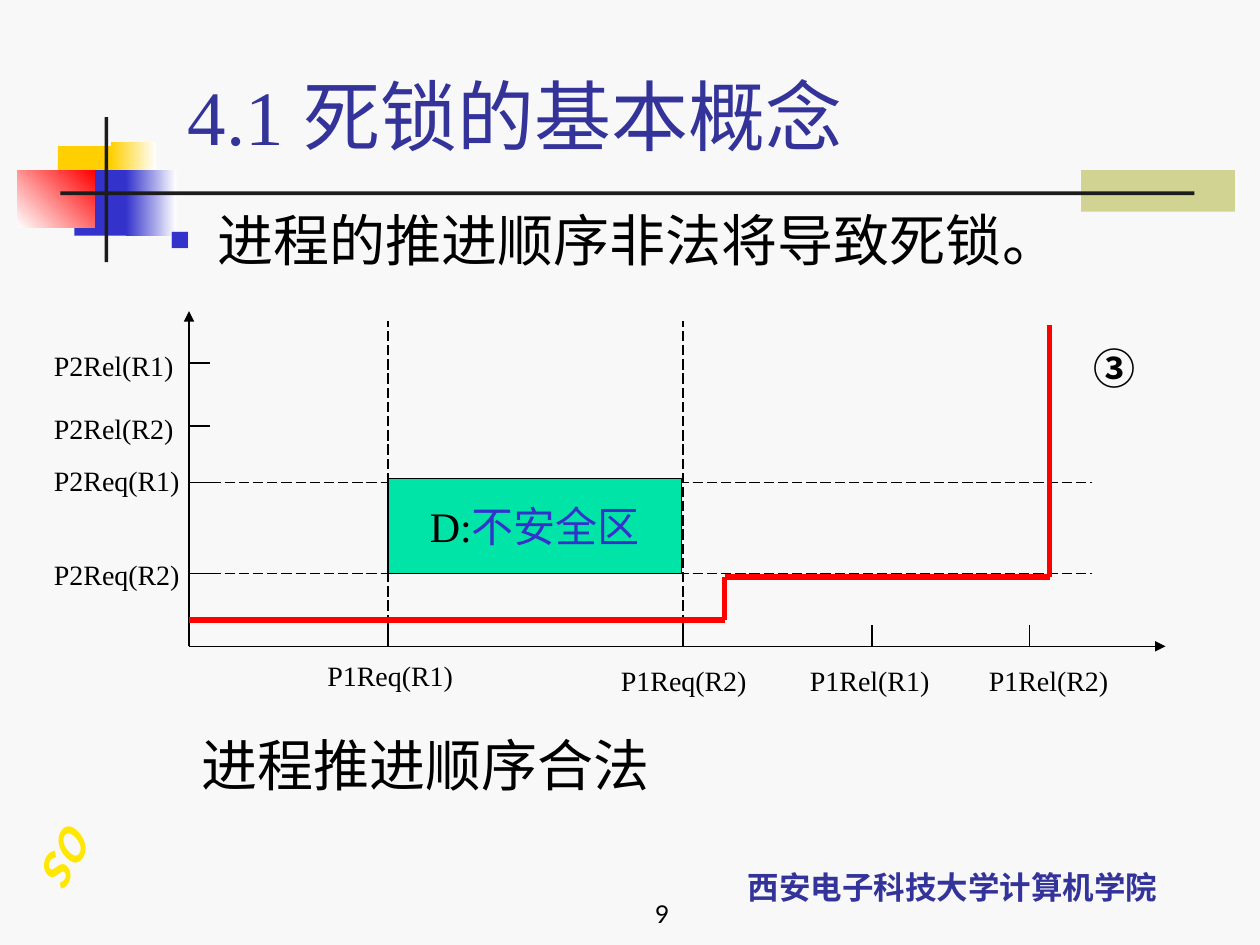
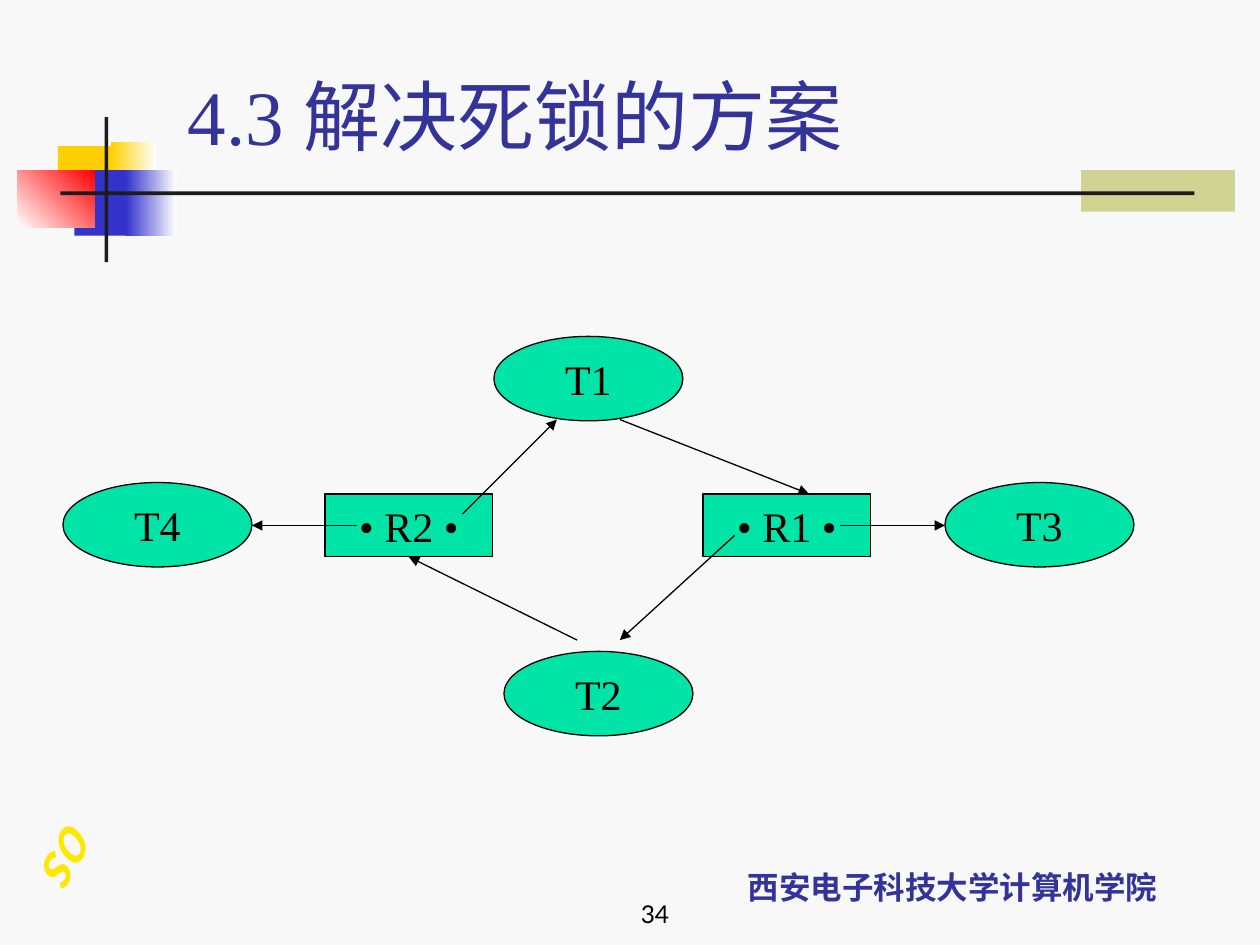
import itertools

import lxml.etree
import pptx
import pptx.dml.color
import pptx.enum.dml
import pptx.enum.shapes
import pptx.enum.text
import pptx.oxml.ns
import pptx.util

Inches = pptx.util.Inches
Pt = pptx.util.Pt
RGBColor = pptx.dml.color.RGBColor
SHAPE = pptx.enum.shapes.MSO_SHAPE
ALIGN = pptx.enum.text.PP_ALIGN
ANCHOR = pptx.enum.text.MSO_ANCHOR
qn = pptx.oxml.ns.qn

# Shared colours and fonts
PAPER = RGBColor(0xF8, 0xF8, 0xF8)
BLACK = RGBColor(0, 0, 0)
WHITE = RGBColor(0xFF, 0xFF, 0xFF)
INK = RGBColor(0x1C, 0x1C, 0x1C)
NAVY = RGBColor(0x33, 0x33, 0x99)
BLUE = RGBColor(0x33, 0x33, 0xCC)
GOLD = RGBColor(0xFF, 0xCF, 0x01)
YELLOW = RGBColor(0xFF, 0xE7, 0x01)
OLIVE = RGBColor(0xD1, 0xD3, 0x93)
RED = RGBColor(0xFF, 0, 0)
GREEN = RGBColor(0, 0xE4, 0xA8)
SERIF = "Times New Roman"
CJK = "Noto Sans CJK SC"
NUMBER_FONT = "Lato"


def inches(*values):
    return [Inches(v) for v in values]


def add_xml(parent, tag, **attrs):
    return lxml.etree.SubElement(parent, qn(tag), attrs)


def style_paragraph(p, size, color=BLACK, font=SERIF, bold=False, align=ALIGN.LEFT):
    p.alignment = align
    p.font.size = Pt(size)
    p.font.bold = bold
    p.font.color.rgb = color
    p.font.name = font
    add_xml(p._p.pPr.find(qn("a:defRPr")), "a:ea", typeface=CJK)


def add_text(slide, box, text, size, anchor=ANCHOR.TOP, **style):
    sp = slide.shapes.add_textbox(*inches(*box))
    tf = sp.text_frame
    tf.word_wrap = True
    tf.vertical_anchor = anchor
    p = tf.paragraphs[0]
    p.text = text
    style_paragraph(p, size, **style)
    return sp


def add_bullet(p, indent):
    pPr = p._p.pPr
    pPr.set("marL", str(Inches(indent)))
    pPr.set("indent", str(-Inches(indent)))
    bullet = lxml.etree.Element("bullet")
    add_xml(add_xml(bullet, "a:buClr"), "a:srgbClr", val=str(BLUE))
    add_xml(bullet, "a:buSzPct", val="60000")
    add_xml(bullet, "a:buFont", typeface=SERIF)
    add_xml(bullet, "a:buChar", char="■")
    font = pPr.find(qn("a:defRPr"))
    for part in list(bullet):
        font.addprevious(part)


def add_block(slide, box, color, end_color=None, angle=0):
    """A borderless rectangle, plain or fading to end_color."""
    sp = slide.shapes.add_shape(SHAPE.RECTANGLE, *inches(*box))
    sp.shadow.inherit = False
    sp.line.fill.background()
    if end_color is None:
        sp.fill.solid()
        sp.fill.fore_color.rgb = color
    else:
        sp.fill.gradient()
        sp.fill.gradient_angle = angle
        for stop, stop_color in zip(sp.fill.gradient_stops, (color, end_color)):
            stop.color.rgb = stop_color
    return sp


def add_node(slide, shape_type, box, *runs):
    """A green outlined shape; each run is (text, colour)."""
    sp = slide.shapes.add_shape(shape_type, *inches(*box))
    sp.shadow.inherit = False
    sp.fill.solid()
    sp.fill.fore_color.rgb = GREEN
    sp.line.color.rgb = BLACK
    sp.line.width = Pt(0.75)
    tf = sp.text_frame
    tf.word_wrap = False
    tf.vertical_anchor = ANCHOR.MIDDLE
    p = tf.paragraphs[0]
    style_paragraph(p, 24, align=ALIGN.CENTER)
    for text, color in runs:
        r = p.add_run()
        r.text = text
        r.font.color.rgb = color
    return sp


def add_line(slide, start, end, color=BLACK, width=0.75, dashed=False, arrow=False):
    line = slide.shapes.add_connector(
        pptx.enum.shapes.MSO_CONNECTOR.STRAIGHT, *inches(*start, *end))
    line.line.color.rgb = color
    line.line.width = Pt(width)
    if dashed:
        line.line.dash_style = pptx.enum.dml.MSO_LINE.LONG_DASH
    spPr = line._element.spPr
    if arrow:
        add_xml(spPr.find(qn("a:ln")), "a:tailEnd", type="triangle")
    add_xml(spPr, "a:effectLst")
    return line


def set_up_layout(prs, layout, slide):
    """Draw the shared decoration on a slide, then move it to the layout."""
    fill = prs.slide_master.background.fill
    fill.solid()
    fill.fore_color.rgb = PAPER
    for ph in list(layout.placeholders):
        if ph.placeholder_format.idx != 0:
            ph._element.getparent().remove(ph._element)

    # Coloured blocks and the crossing bars
    parts = [
        add_block(slide, (8.58, 1.35, 1.22, 0.33), OLIVE),
        add_block(slide, (0.46, 1.16, 0.48, 0.52), GOLD),
        add_block(slide, (0.88, 1.13, 0.36, 0.52), GOLD, WHITE),
        add_block(slide, (0.59, 1.35, 0.46, 0.52), BLUE),
        add_block(slide, (1, 1.35, 0.4, 0.52), BLUE, WHITE),
        add_block(slide, (0.14, 1.35, 0.61, 0.46), WHITE, RED, angle=45),
        add_block(slide, (0.83, 0.93, 0.03, 1.15), INK),
        add_block(slide, (0.48, 1.52, 9, 0.03), INK),
    ]

    # Footer and the tilted course mark
    parts.append(add_text(slide, (5.31, 6.66, 4.5, 0.58), "西安电子科技大学计算机学院", 18,
                          ANCHOR.BOTTOM, color=NAVY, font=CJK, bold=True,
                          align=ALIGN.CENTER))
    mark = add_text(slide, (0.18, 6.42, 0.66, 0.85), "OS", 24, ANCHOR.MIDDLE,
                    color=YELLOW, font=CJK, bold=True)
    mark.rotation = 29.3
    tf = mark.text_frame
    tf.paragraphs[0].font.italic = True
    tf.word_wrap = False
    tf.margin_left = tf.margin_right = Inches(0.05)
    tf.margin_top = tf.margin_bottom = Inches(0.1)
    tf._txBody.bodyPr.set("vert", "eaVert")
    parts.append(mark)

    for sp in parts:
        layout.shapes._spTree.append(sp._element)


def add_heading(slide, title, number):
    sp = slide.shapes.title
    sp.left, sp.top, sp.width, sp.height = inches(1.39, 0.5, 8.52, 0.83)
    tf = sp.text_frame
    tf.text = title
    tf.auto_size = pptx.enum.text.MSO_AUTO_SIZE.NONE
    tf.vertical_anchor = ANCHOR.BOTTOM
    style_paragraph(tf.paragraphs[0], 44, color=NAVY)
    add_text(slide, (3.33, 6.92, 2.08, 0.5), number, 14, ANCHOR.BOTTOM,
             font=NUMBER_FONT, align=ALIGN.RIGHT)


def draw_progress_chart(slide):
    left, bottom, tick = 1.5, 5.13, 0.17
    label_size = (1.33, 0.37)

    # Axes
    add_line(slide, (left, bottom), (9.25, bottom), arrow=True)
    add_line(slide, (left, bottom), (left, 2.47), arrow=True)

    # Ticks, guides and labels: name, tick place, label place, guide
    for name, x, label_at, guide in (
            ("P1Req(R1)", 3.08, (2.5, 5.18), True),
            ("P1Req(R2)", 5.42, (4.83, 5.22), True),
            ("P1Rel(R1)", 6.92, (6.33, 5.22), False),
            ("P1Rel(R2)", 8.17, (7.75, 5.22), False)):
        add_line(slide, (x, bottom - tick), (x, bottom))
        if guide:
            add_line(slide, (x, bottom - tick), (x, 2.55), dashed=True)
        add_text(slide, label_at + label_size, name, 16)
    for name, y, label_top, guide in (
            ("P2Rel(R1)", 2.88, 2.72, False),
            ("P2Rel(R2)", 3.38, 3.22, False),
            ("P2Req(R1)", 3.83, 3.63, True),
            ("P2Req(R2)", 4.55, 4.38, True)):
        add_line(slide, (left, y), (left + tick, y))
        if guide:
            add_line(slide, (left + tick, y), (8.67, y), dashed=True)
        add_text(slide, (0.33, label_top) + label_size, name, 16)

    # Unsafe region and the route around it
    add_node(slide, SHAPE.RECTANGLE, (3.08, 3.8, 2.33, 0.75),
             ("D:", BLACK), ("不安全区", BLUE))
    route = [(left, 4.92), (5.75, 4.92), (5.75, 4.58), (8.33, 4.58), (8.33, 2.58)]
    for start, end in itertools.pairwise(route):
        add_line(slide, start, end, RED, 3)
    add_text(slide, (8.58, 2.67, 0.67, 0.82), "③", 24, font=CJK, bold=True)


def draw_resource_graph(slide):
    # Processes and resources
    for name, x, y in (("T1", 3.92, 2.67), ("T2", 4, 5.17),
                       ("T3", 7.5, 3.83), ("T4", 0.5, 3.83)):
        add_node(slide, SHAPE.OVAL, (x, y, 1.5, 0.67), (name, BLACK))
    r2, r1 = [add_node(slide, SHAPE.RECTANGLE, (x, 3.92, 1.33, 0.5),
                       (f"• {name} •", BLACK))
              for name, x in (("R2", 2.58), ("R1", 5.58))]

    # Allocations and requests
    for start, end in (((3.67, 4.08), (4.42, 3.33)),
                       ((4.92, 3.33), (6.42, 3.92)),
                       ((6.67, 4.17), (7.5, 4.17)),
                       ((5.83, 4.25), (4.92, 5.08)),
                       ((2.83, 4.17), (2, 4.17))):
        add_line(slide, start, end, arrow=True)
    request = add_line(slide, (4.58, 5.08), (3.25, 4.42), arrow=True)
    request.end_connect(r2, 2)


def main():
    prs = pptx.Presentation()
    prs.slide_width, prs.slide_height = inches(10, 7.5)
    layout = prs.slide_layouts[5]

    # Deadlock concept
    slide = prs.slides.add_slide(layout)
    set_up_layout(prs, layout, slide)
    add_heading(slide, "4.1 死锁的基本概念", "9")
    point = add_text(slide, (1.25, 1.58, 8.5, 0.67), "进程的推进顺序非法将导致死锁。", 32)
    add_bullet(point.text_frame.paragraphs[0], 0.38)
    draw_progress_chart(slide)
    add_text(slide, (1.5, 5.75, 6.33, 0.64), "进程推进顺序合法", 32)

    # Deadlock solutions
    slide = prs.slides.add_slide(layout)
    add_heading(slide, "4.3 解决死锁的方案", "34")
    draw_resource_graph(slide)

    prs.save("out.pptx")


if __name__ == "__main__":
    main()
